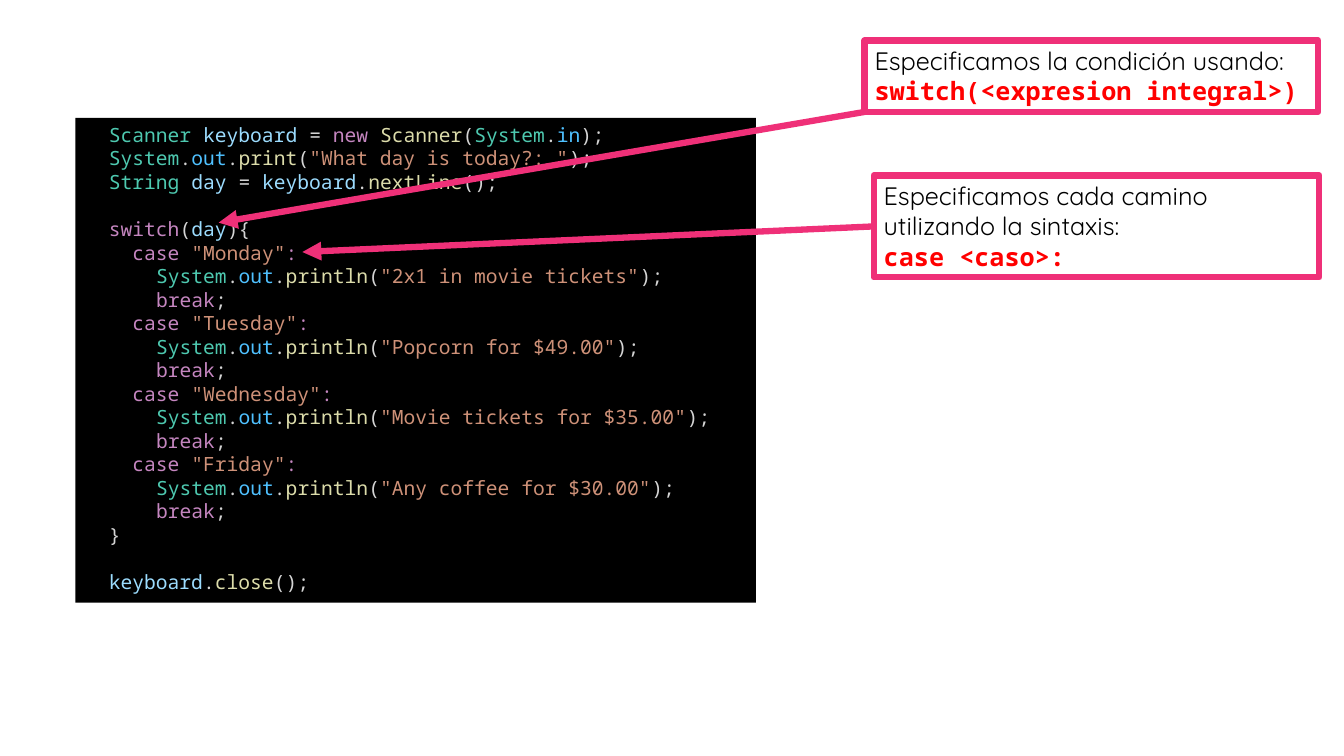
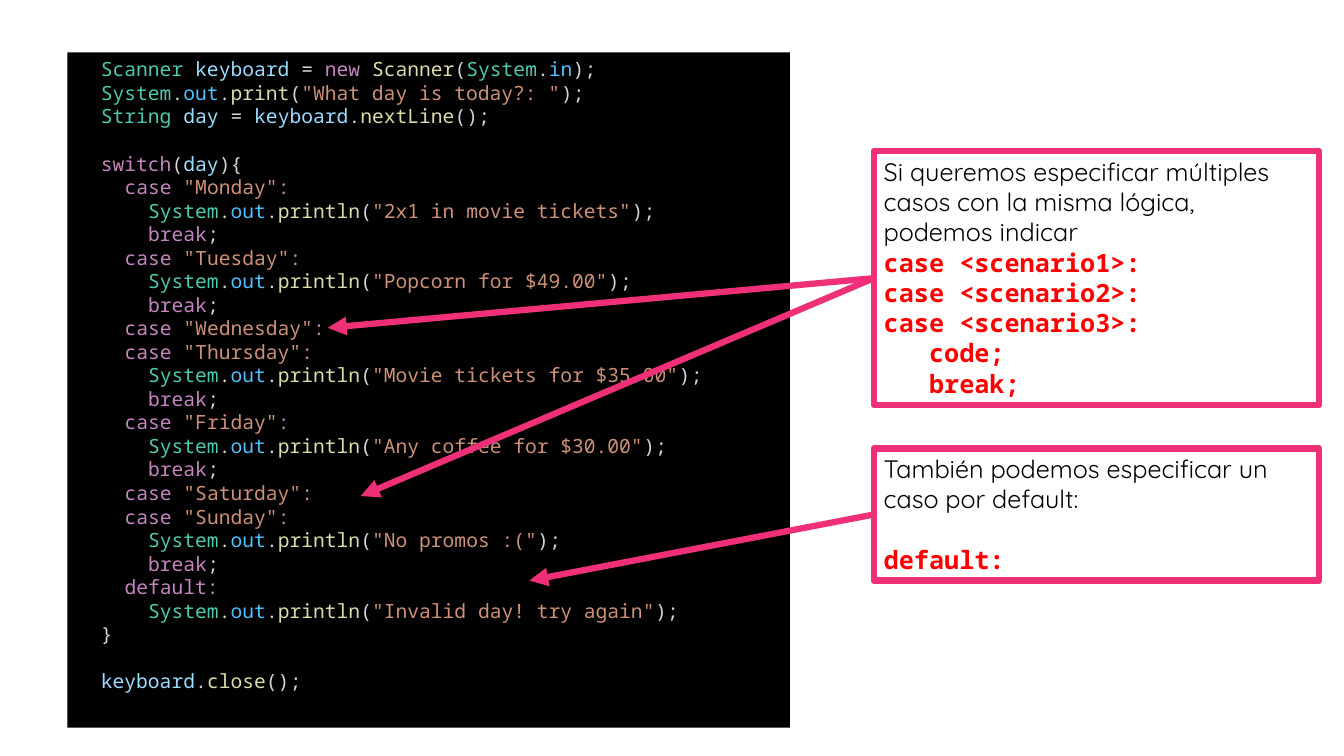
from dataclasses import dataclass
from itertools import groupby

from lxml import etree
from pptx import Presentation
from pptx.dml.color import RGBColor
from pptx.enum import shapes, text
from pptx.oxml import ns
from pptx.util import Cm, Pt


@dataclass(frozen=True)
class Theme:
    panel: str = "000000"
    accent: str = "EF3078"
    body: str = "000000"
    syntax: str = "FF0000"
    plain: str = "D4D4D4"
    keyword: str = "C586C0"
    type: str = "4EC9B0"
    field: str = "4FC1FF"
    variable: str = "9CDCFE"
    function: str = "DCDCAA"
    string: str = "CE9178"
    body_font: str = "Quicksand"
    code_font: str = "Noto Sans Mono"
    code_size: int = 14
    body_size: int = 18
    leading: float = 1.2
    line_width: float = 4.5


T = Theme()

WORD_COLORS = {
    word: color
    for color, words in (
        (T.keyword, "new switch case break default"),
        (T.type, "Scanner System String"),
        (T.field, "in out"),
        (T.variable, "keyboard day"),
    )
    for word in words.split()
}

OPENING = [
    'Scanner keyboard = new Scanner(System.in);',
    'System.out.print("What day is today?: ");',
    'String day = keyboard.nextLine();',
    '',
    'switch(day){',
]
CLOSING = ['}', '', 'keyboard.close();']

MONDAY = (["Monday"], "2x1 in movie tickets")
TUESDAY = (["Tuesday"], "Popcorn for $49.00")
FRIDAY = (["Friday"], "Any coffee for $30.00")
MOVIE_OFFER = "Movie tickets for $35.00"

SLIDES = [
    {
        "panel": (1.9, 2.97, 17.15, 12.22),
        "cases": [MONDAY, TUESDAY, (["Wednesday"], MOVIE_OFFER), FRIDAY],
        "default": None,
        "callouts": [
            {
                "box": (22.02, 4.42, 11.23, 2.57),
                "body": "Especificamos cada camino utilizando la sintaxis:",
                "syntax": ["case <caso>:"],
                "from": "side",
                "tips": [(7.62, 6.35)],
            },
            {
                "box": (21.79, 1.02, 11.43, 1.8),
                "body": "Especificamos la condición usando:",
                "syntax": ["switch(<expresion integral>)"],
                "from": "corner",
                "tips": [(5.51, 5.61)],
            },
        ],
    },
    {
        "panel": (1.7, 1.32, 18.21, 17.02),
        "cases": [
            MONDAY,
            TUESDAY,
            (["Wednesday", "Thursday"], MOVIE_OFFER),
            FRIDAY,
            (["Saturday", "Sunday"], "No promos :("),
        ],
        "default": "Invalid day! try again",
        "callouts": [
            {
                "box": (22.02, 3.81, 11.23, 6.4),
                "body": "Si queremos especificar múltiples casos con la misma "
                        "lógica, podemos indicar",
                "syntax": ["case <scenario1>:", "case <scenario2>:",
                           "case <scenario3>:", "   code;", "   break;"],
                "from": "side",
                "tips": [(9.09, 12.5), (8.26, 8.26)],
            },
            {
                "box": (22.02, 11.3, 11.23, 3.33),
                "body": "También podemos especificar un caso por default:",
                "syntax": ["", "default:"],
                "from": "side",
                "tips": [(13.34, 14.63)],
            },
        ],
    },
]


def code_lines(cases, default):
    lines = list(OPENING)
    for days, offer in cases:
        lines += [f'  case "{day}":' for day in days]
        lines += [f'    System.out.println("{offer}");', '    break;']
    if default:
        lines += ['  default:', f'    System.out.println("{default}");']
    return ["  " + line if line else "" for line in lines + CLOSING]


def tokens(line):
    for i, piece in enumerate(line.split('"')):
        if i % 2:
            yield f'"{piece}"', T.string
            continue
        parts = ["".join(group) for _, group in groupby(piece, str.isalnum)]
        for part, following in zip(parts, parts[1:] + [""]):
            color = WORD_COLORS.get(part, T.plain)
            if part == ":":
                color = T.keyword
            elif part.isalnum() and following.startswith("(") and color != T.keyword:
                color = T.function
            yield part, color


def add_box(s, box):
    sp = s.shapes.add_textbox(*map(Cm, box))
    tf = sp.text_frame
    tf.word_wrap = True
    tf.vertical_anchor = text.MSO_ANCHOR.TOP
    return sp


def write_lines(tf, lines, size):
    pitch = Pt(size * T.leading)
    p, gap = tf.paragraphs[0], 0
    for i, runs in enumerate(lines):
        if not runs:
            gap += pitch
            continue
        if i:
            p = tf.add_paragraph()
        p.line_spacing = pitch
        if gap:
            p.space_before, gap = gap, 0
        for content, color, font, bold in runs:
            r = p.add_run()
            r.text = content
            r.font.name = font
            r.font.size = Pt(size)
            r.font.bold = bold
            r.font.color.rgb = RGBColor.from_string(color)


def add_code(s, box, lines):
    sp = add_box(s, box)
    sp.fill.solid()
    sp.fill.fore_color.rgb = RGBColor.from_string(T.panel)
    runs = [[(part, color, T.code_font, False) for part, color in tokens(line)]
            if line else [] for line in lines]
    write_lines(sp.text_frame, runs, T.code_size)


def style_line(line):
    line.color.rgb = RGBColor.from_string(T.accent)
    line.width = Pt(T.line_width)


def add_callout(s, callout):
    sp = add_box(s, callout["box"])
    style_line(sp.line)
    lines = [[(callout["body"], T.body, T.body_font, False)]]
    lines += [[(line, T.syntax, T.code_font, True)] if line else []
              for line in callout["syntax"]]
    write_lines(sp.text_frame, lines, T.body_size)
    return sp


def add_arrow(s, sp, start, tip):
    c = s.shapes.add_connector(shapes.MSO_CONNECTOR.STRAIGHT, sp.left,
                               sp.top + sp.height, *map(Cm, tip))
    if start == "side":
        c.begin_connect(sp, 1)
    style_line(c.line)
    etree.SubElement(c.line._get_or_add_ln(), ns.qn("a:tailEnd"), type="triangle")
    etree.SubElement(c._element.spPr, ns.qn("a:effectLst"))


def main():
    prs = Presentation()
    prs.slide_width, prs.slide_height = Cm(33.87), Cm(19.05)
    for content in SLIDES:
        s = prs.slides.add_slide(prs.slide_layouts[6])
        add_code(s, content["panel"],
                 code_lines(content["cases"], content["default"]))
        for callout in content["callouts"]:
            sp = add_callout(s, callout)
            for tip in callout["tips"]:
                add_arrow(s, sp, callout["from"], tip)
    prs.save("out.pptx")


if __name__ == "__main__":
    main()
